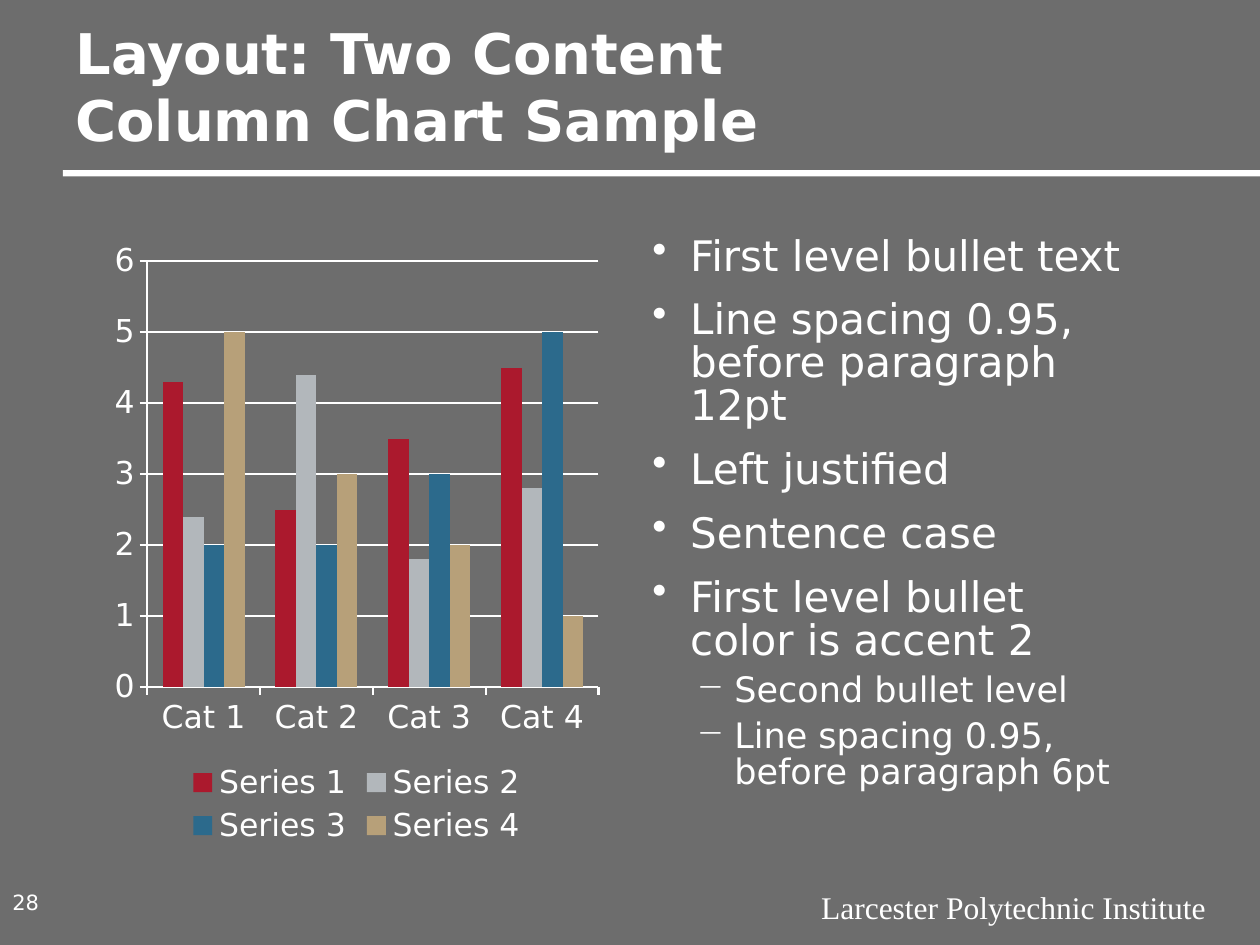
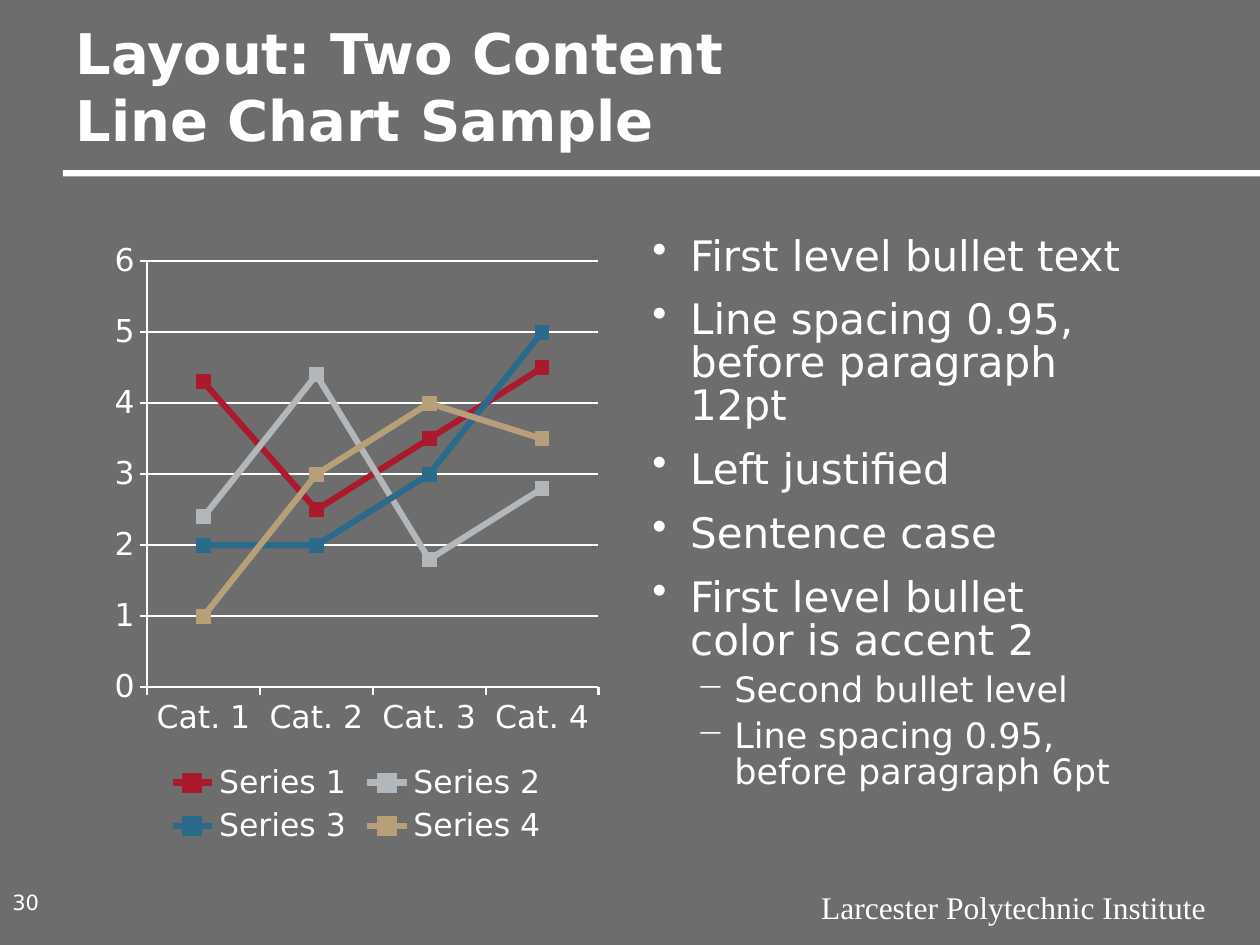
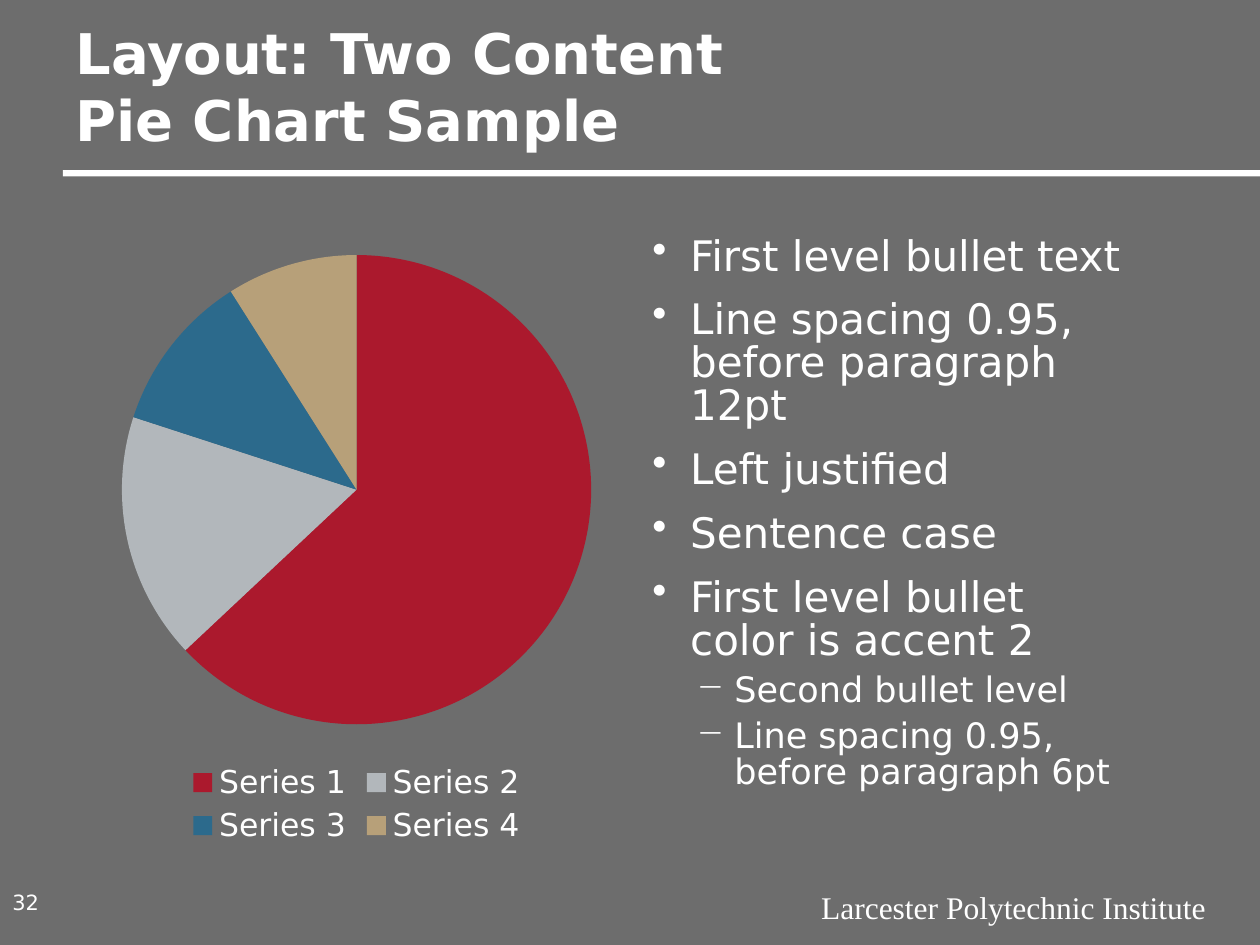
from lxml.etree import SubElement
from pptx import Presentation
from pptx.chart.data import CategoryChartData
from pptx.dml.color import RGBColor
from pptx.enum.chart import XL_CHART_TYPE, XL_LEGEND_POSITION, XL_MARKER_STYLE, XL_TICK_MARK
from pptx.enum.shapes import MSO_SHAPE
from pptx.enum.text import MSO_ANCHOR, PP_ALIGN
from pptx.oxml.ns import qn
from pptx.util import Inches, Pt

WHITE = RGBColor(0xFF, 0xFF, 0xFF)
GRAY = RGBColor(0x6D, 0x6D, 0x6D)
RED = RGBColor(0xAB, 0x19, 0x2D)
SILVER = RGBColor(0xB2, 0xB7, 0xBB)
BLUE = RGBColor(0x2C, 0x6A, 0x8C)
TAN = RGBColor(0xB7, 0xA0, 0x79)
SERIES_COLORS = [RED, SILVER, BLUE, TAN]
SANS = "DejaVu Sans"
SERIF = "Times New Roman"
COLUMN_TOP, COLUMN_WIDTH, COLUMN_HEIGHT = Inches(1.83), Inches(4), Inches(4.92)

BULLETS = [
    (0, "First level bullet text"),
    (0, "Line spacing 0.95, before paragraph 12pt"),
    (0, "Left justified"),
    (0, "Sentence case"),
    (0, "First level bullet color is accent 2"),
    (1, "Second bullet level"),
    (1, "Line spacing 0.95, before paragraph 6pt"),
]
# For each level: bullet, text size, space before, left margin
LEVELS = [("•", 24, 12, 0.3), ("─", 20, 6, 0.65)]

NAMES = [f"Series {number}" for number in range(1, 5)]
SHARED_VALUES = [[4.3, 2.5, 3.5, 4.5], [2.4, 4.4, 1.8, 2.8], [2, 2, 3, 5]]
SLIDES = [
    (28, "Column", XL_CHART_TYPE.COLUMN_CLUSTERED,
     [f"Cat {number}" for number in range(1, 5)],
     list(zip(NAMES, SHARED_VALUES + [[5, 3, 2, 1]]))),
    (30, "Line", XL_CHART_TYPE.LINE_MARKERS,
     [f"Cat. {number}" for number in range(1, 5)],
     list(zip(NAMES, SHARED_VALUES + [[1, 3, 4, 3.5]]))),
    (32, "Pie", XL_CHART_TYPE.PIE, NAMES, [("Series 1", [63, 17, 11, 9])]),
]


def style_font(font, size, name=SANS, bold=False):
    font.size = Pt(size)
    font.name = name
    font.bold = bold
    font.color.rgb = WHITE


def add_text(page, text, left, top, width, height, size, name=SANS, bold=False):
    """Add a wrapping one-paragraph text box and return its text frame."""
    box = page.shapes.add_textbox(Inches(left), Inches(top), Inches(width), Inches(height))
    frame = box.text_frame
    frame.word_wrap = True
    frame.paragraphs[0].text = text
    style_font(frame.paragraphs[0].font, size, name, bold)
    return frame


deck = Presentation()
deck.slide_width = Inches(10)
deck.slide_height = Inches(7.5)
background = deck.slide_master.background.fill
background.solid()
background.fore_color.rgb = GRAY

for page_number, chart_name, chart_type, categories, series_values in SLIDES:
    page = deck.slides.add_slide(deck.slide_layouts[6])

    rule = page.shapes.add_shape(
        MSO_SHAPE.RECTANGLE, Inches(0.5), Inches(1.35), Inches(9.5), Inches(0.05))
    rule.shadow.inherit = False
    rule.fill.solid()
    rule.fill.fore_color.rgb = WHITE
    rule.line.fill.background()

    footer = add_text(page, "Larcester Polytechnic Institute", 6, 7, 3.67, 0.4, 18, SERIF)
    footer.paragraphs[0].alignment = PP_ALIGN.RIGHT
    title = add_text(page, f"Layout: Two Content\v{chart_name} Chart Sample",
                     0.5, 0.38, 9, 0.88, 32, bold=True)
    title.vertical_anchor = MSO_ANCHOR.BOTTOM

    # Chart in the left column
    data = CategoryChartData()
    data.categories = categories
    for name, values in series_values:
        data.add_series(name, values)
    chart = page.shapes.add_chart(
        chart_type, Inches(0.83), COLUMN_TOP, COLUMN_WIDTH, COLUMN_HEIGHT, data).chart
    style_font(chart.font, 18)
    chart.has_title = False
    chart.has_legend = True
    chart.legend.position = XL_LEGEND_POSITION.BOTTOM
    chart.legend.include_in_layout = False
    plot = chart.plots[0]

    if chart_type == XL_CHART_TYPE.PIE:
        plot.vary_by_categories = True
        for index, color in enumerate(SERIES_COLORS):
            wedge = plot.series[0].points[index].format.fill
            wedge.solid()
            wedge.fore_color.rgb = color
    else:
        plot.vary_by_categories = False
        value_axis = chart.value_axis
        value_axis.minimum_scale = 0
        value_axis.maximum_scale = 6
        value_axis.major_unit = 1
        value_axis.has_major_gridlines = True
        for axis in (chart.category_axis, value_axis):
            axis.major_tick_mark = XL_TICK_MARK.OUTSIDE
        for part in (chart.category_axis, value_axis, value_axis.major_gridlines):
            part.format.line.color.rgb = WHITE
            part.format.line.width = Pt(1.25)
        for series, color in zip(plot.series, SERIES_COLORS):
            if chart_type == XL_CHART_TYPE.LINE_MARKERS:
                series.smooth = False
                series.format.line.color.rgb = color
                series.format.line.width = Pt(3.5)
                series.marker.style = XL_MARKER_STYLE.SQUARE
                series.marker.size = 8
                series.marker.format.line.color.rgb = color
                fill = series.marker.format.fill
            else:
                plot.gap_width = 150
                series.invert_if_negative = False
                fill = series.format.fill
            fill.solid()
            fill.fore_color.rgb = color

    # Bullets in the right column
    box = page.shapes.add_textbox(Inches(5.08), COLUMN_TOP, COLUMN_WIDTH, COLUMN_HEIGHT)
    frame = box.text_frame
    frame.word_wrap = True
    for index, (level, text) in enumerate(BULLETS):
        bullet, size, space_before, margin = LEVELS[level]
        para = frame.add_paragraph() if index else frame.paragraphs[0]
        para.text = text
        para.level = level
        para.line_spacing = 0.85
        para.space_before = Pt(space_before)
        style_font(para.font, size)
        properties = para._p.get_or_add_pPr()
        properties.set("marL", str(Inches(margin)))
        properties.set("indent", str(Inches(-0.3)))
        mark = SubElement(properties, qn("a:buChar"), char=bullet)
        properties.find(qn("a:defRPr")).addprevious(mark)

    number_frame = add_text(page, str(page_number), 0, 6.99, 0.5, 0.34, 12)
    number_frame.vertical_anchor = MSO_ANCHOR.MIDDLE

deck.save("out.pptx")
